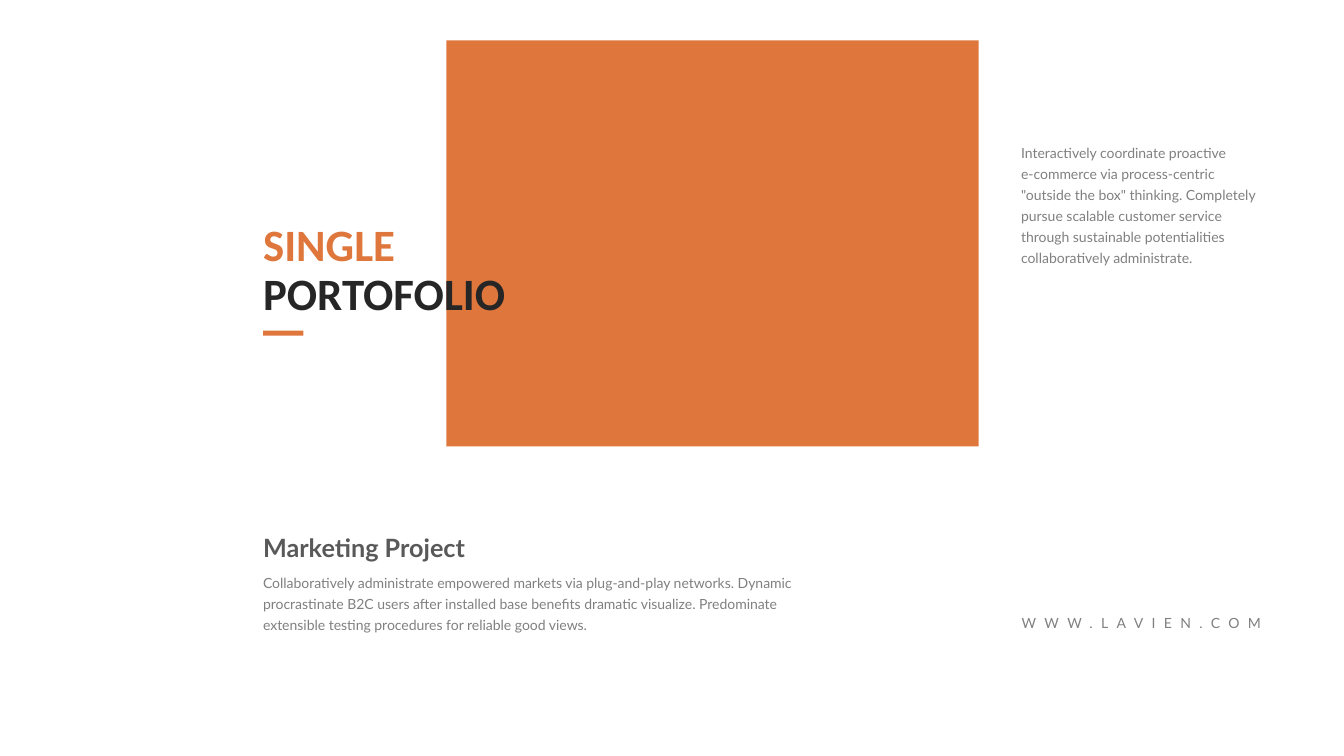
from pptx import Presentation
from pptx.dml.color import RGBColor
from pptx.enum.shapes import MSO_SHAPE as SHAPE
from pptx.enum.text import MSO_ANCHOR as ANCHOR, MSO_AUTO_SIZE as FIT, PP_ALIGN as ALIGN
from pptx.util import Inches, Pt

COLUMNS, ROWS = 40, 75


def rgb(value):
    return RGBColor.from_string(value)


class Page:
    """Style and current slide; positions are in grid columns and rows."""
    ORANGE, BLACK, DARK, GREY = "DF773D", "262626", "595959", "808080"

    def __init__(self, prs):
        self.col, self.row = prs.slide_width / COLUMNS, prs.slide_height / ROWS
        self.s = prs.slides.add_slide(prs.slide_layouts[6])
        self.s.background.fill.solid()
        self.s.background.fill.fore_color.rgb = rgb("FFFFFF")

    def box(self, x, y, w, h):
        return [round(v) for v in (x * self.col, y * self.row, w * self.col, h * self.row)]

    def group(self):
        return self.s.shapes.add_group_shape()

    def block(self, area, parent=None):
        sp = (parent or self.s).shapes.add_shape(SHAPE.RECTANGLE, *self.box(*area))
        sp.shadow.inherit = False
        sp.fill.solid()
        sp.fill.fore_color.rgb = rgb(self.ORANGE)
        sp.line.fill.background()

    def text(self, area, lines, parent=None, size=10, font="Lato", bold=False,
             leading=None, align=ALIGN.LEFT, anchor=ANCHOR.TOP, tracking=0):
        sp = (parent or self.s).shapes.add_textbox(*self.box(*area))
        tf = sp.text_frame
        tf.margin_left = tf.margin_right = tf.margin_top = tf.margin_bottom = 0
        tf.word_wrap = True
        tf.auto_size = FIT.SHAPE_TO_FIT_TEXT
        tf.vertical_anchor = anchor
        for i, (words, color) in enumerate(lines):
            p = tf.add_paragraph() if i else tf.paragraphs[0]
            p.alignment = align
            if leading:
                p.line_spacing = Pt(leading)
            r = p.add_run()
            r.text = words
            r.font.name, r.font.size, r.font.bold = font, Pt(size), bold
            r.font.color.rgb = rgb(color)
            if tracking:
                r._r.get_or_add_rPr().set("spc", str(tracking * 100))


def main():
    prs = Presentation()
    prs.slide_width, prs.slide_height = Inches(13.33), Inches(7.5)
    page = Page(prs)
    left, wide = 7.83, 15.84

    # Main panel
    page.block((13.29, 4, wide, 40.3))

    # Project description
    project = page.group()
    page.text((left, 56.6, wide, 6.1), [(
        "Collaboratively administrate empowered markets via plug-and-play networks. "
        "Dynamic procrastinate B2C users after installed base benefits dramatic visualize. "
        "Predominate extensible testing procedures for reliable good views.",
        page.GREY)], project, leading=15)
    page.text((left, 52.8, wide, 3), [("Marketing Project", page.DARK)],
              project, size=18, bold=True)

    # Title with its accent bar
    title = page.group()
    page.text((left, 21.9, 8.67, 9.8),
              [("SINGLE", page.ORANGE), ("PORTOFOLIO", page.BLACK)], title,
              size=32, font="Calibri", bold=True, leading=35, anchor=ANCHOR.MIDDLE)
    page.block((left, 32.8, 1.2, 0.5), title)

    # Side note and web address
    page.text((30.39, 13.9, 7.14, 12.4), [
        ("Interactively coordinate proactive", page.GREY),
        ("e-commerce via process-centric \"outside the box\" thinking. Completely "
         "pursue scalable customer service through sustainable potentialities "
         "collaboratively administrate.", page.GREY)], leading=15)
    page.text((29.73, 61, 7.8, 1.7), [("WWW.LAVIEN.COM", page.GREY)],
              align=ALIGN.RIGHT, tracking=6)

    prs.save("out.pptx")


if __name__ == "__main__":
    main()
